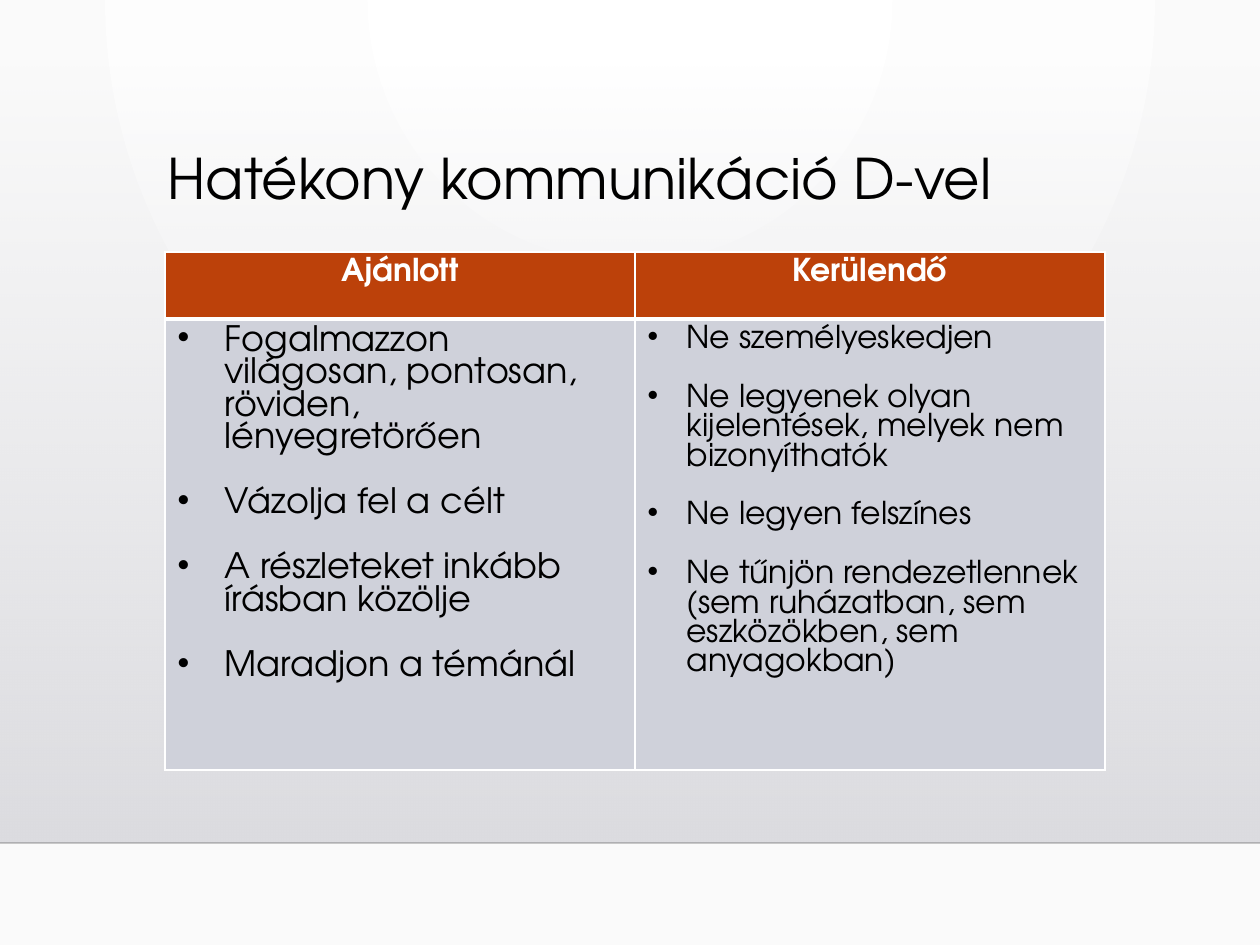
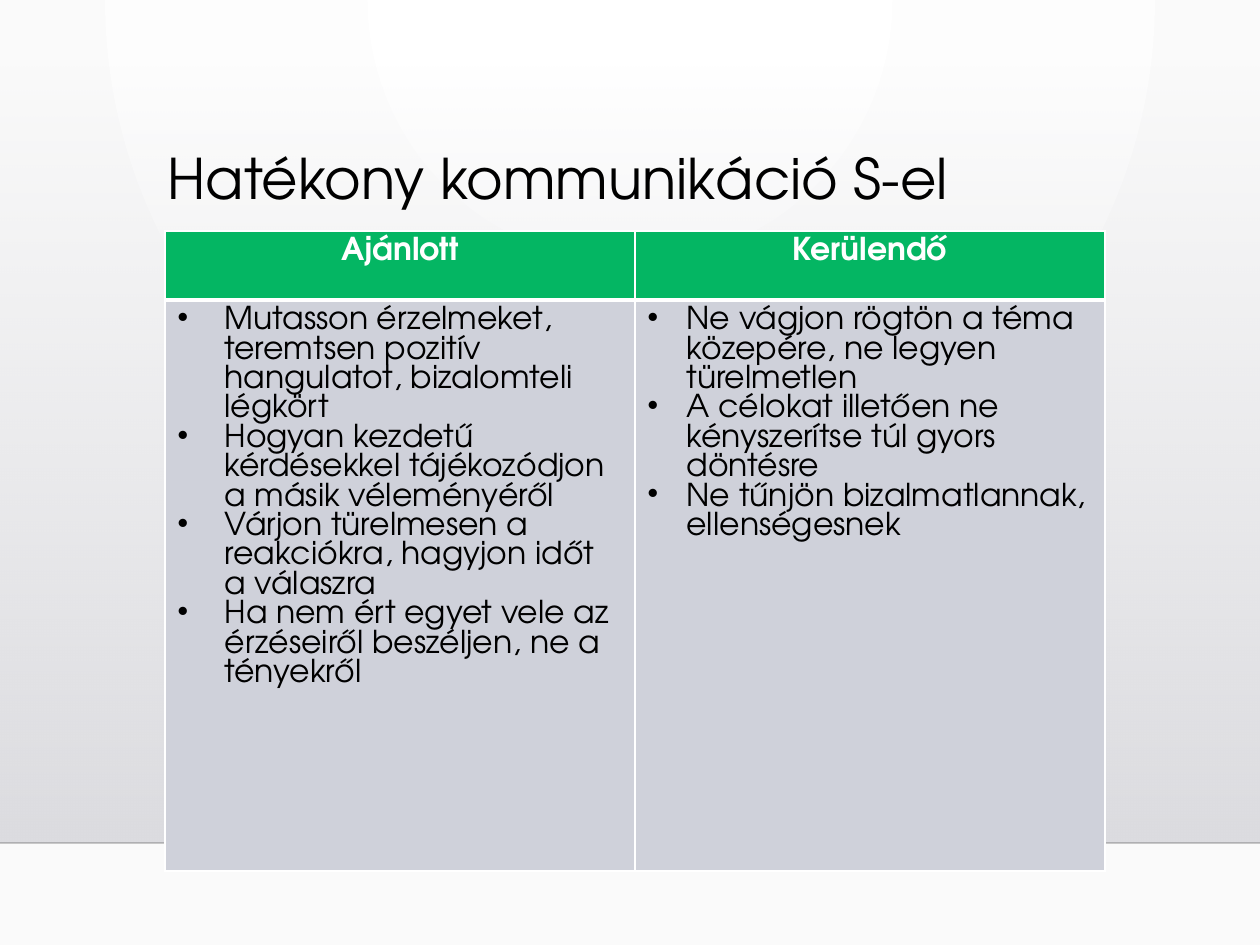
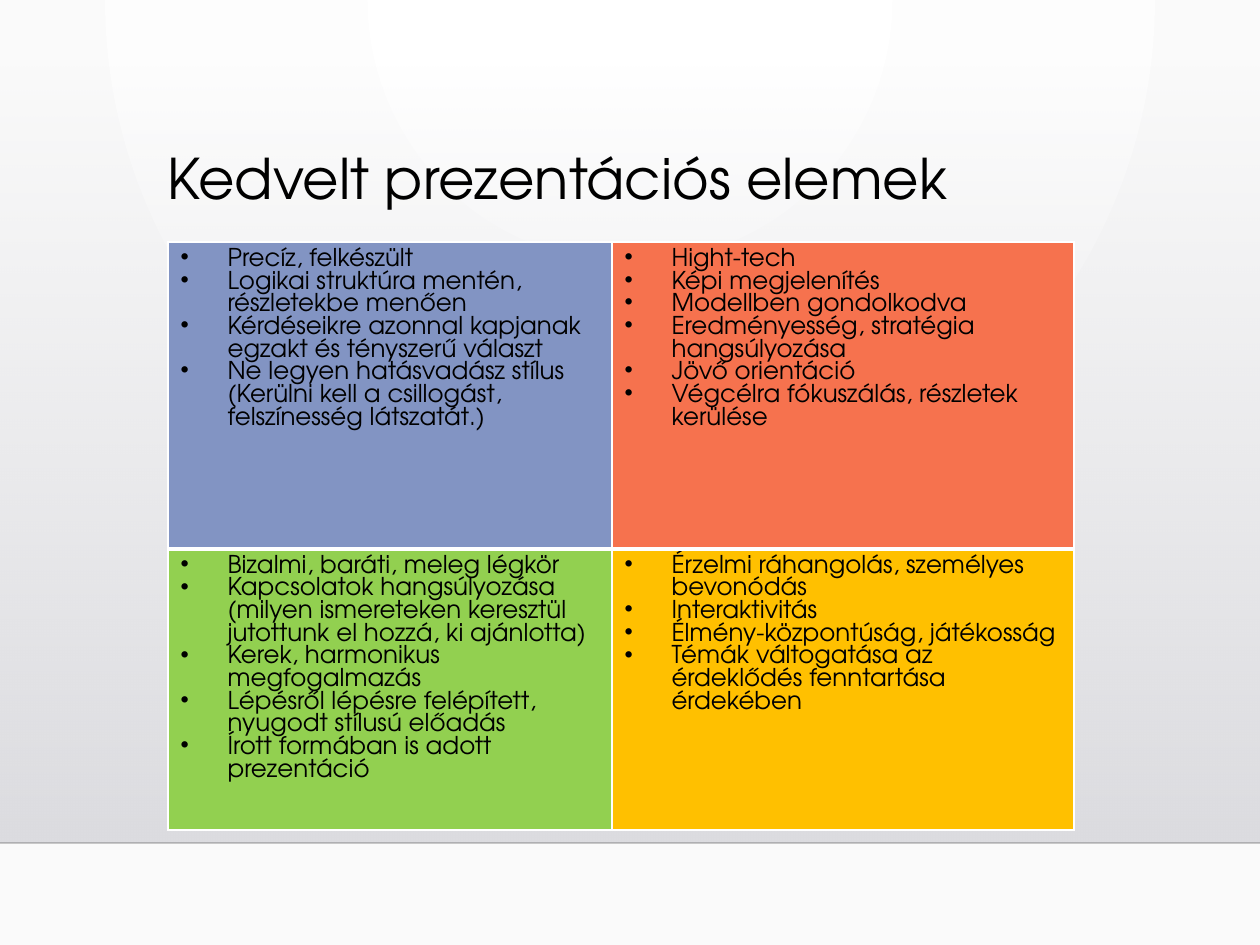
import pptx
import pptx.dml.color
import pptx.enum.shapes
import pptx.enum.text
import pptx.oxml
import pptx.oxml.ns
import pptx.util

PX = 914400 / 126
FONT = "TeX Gyre Adventor"
LINE_HEIGHT = 0.93  # natural line height of the font, in ems
COLOURS = {
    "ink": "000000", "white": "FFFFFF", "paper": "FAFAFA", "rule": "000001",
    "haze_top": "DCDCE0", "haze_bottom": "DEDEE2", "body": "CFD1DA",
    "rust": "BC410A", "emerald": "04B663", "blue": "8294C3",
    "coral": "F6724E", "lime": "92D050", "amber": "FFC000",
}
# size in points, hanging indent in px, blank line between items
STYLES = {
    "head": (18, 0, False),
    "large spaced": (20, 47, True),
    "medium spaced": (18, 39, True),
    "medium wide": (18, 47, False),
    "medium": (18, 39, False),
    "small": (14, 47, False),
}
RECOMMENDED = ("rust", "head", ["Ajánlott"])
AVOID = ("rust", "head", ["Kerülendő"])

SLIDES = [
    {
        "title": "Hatékony kommunikáció D-vel",
        "corner": (165, 252), "columns": (470, 470), "rows": (67, 451),
        "cells": [
            [RECOMMENDED, AVOID],
            [("body", "large spaced", [
                "Fogalmazzon világosan, pontosan, röviden, lényegretörően",
                "Vázolja fel a célt",
                "A részleteket inkább írásban közölje",
                "Maradjon a témánál"]),
             ("body", "medium spaced", [
                 "Ne személyeskedjen",
                 "Ne legyenek olyan kijelentések, melyek nem bizonyíthatók",
                 "Ne legyen felszínes",
                 "Ne tűnjön rendezetlennek (sem ruházatban, sem eszközökben, sem anyagokban)"])],
        ],
    },
    {
        "title": "Hatékony kommunikáció S-el",
        "corner": (165, 231), "columns": (470, 470), "rows": (69, 571),
        "cells": [
            [("emerald", *RECOMMENDED[1:]), ("emerald", *AVOID[1:])],
            [("body", "medium wide", [
                "Mutasson érzelmeket, teremtsen pozitív hangulatot, bizalomteli légkört",
                "Hogyan kezdetű kérdésekkel tájékozódjon a másik véleményéről",
                "Várjon türelmesen a reakciókra, hagyjon időt a válaszra",
                "Ha nem ért egyet vele az érzéseiről beszéljen, ne a tényekről"]),
             ("body", "medium", [
                 "Ne vágjon rögtön a téma közepére, ne legyen türelmetlen",
                 "A célokat illetően ne kényszerítse túl gyors döntésre",
                 "Ne tűnjön bizalmatlannak, ellenségesnek"])],
        ],
    },
    {
        "title": "Kedvelt prezentációs elemek",
        "corner": (168, 242), "columns": (444, 462), "rows": (307, 281),
        "cells": [
            [("blue", "small", [
                "Precíz, felkészült",
                "Logikai struktúra mentén, részletekbe menően",
                "Kérdéseikre azonnal kapjanak egzakt és tényszerű választ",
                "Ne legyen hatásvadász stílus (Kerülni kell a csillogást, felszínesség látszatát.)"]),
             ("coral", "small", [
                 "Hight-tech",
                 "Képi megjelenítés",
                 "Modellben gondolkodva",
                 "Eredményesség, stratégia hangsúlyozása",
                 "Jövő orientáció",
                 "Végcélra fókuszálás, részletek kerülése"])],
            [("lime", "small", [
                "Bizalmi, baráti, meleg légkör",
                "Kapcsolatok hangsúlyozása (milyen ismereteken keresztül jutottunk el hozzá, ki ajánlotta)",
                "Kerek, harmonikus megfogalmazás",
                "Lépésről lépésre felépített, nyugodt stílusú előadás",
                "Írott formában is adott prezentáció"]),
             ("amber", "small", [
                 "Érzelmi ráhangolás, személyes bevonódás",
                 "Interaktivitás",
                 "Élmény-központúság, játékosság",
                 "Témák váltogatása az érdeklődés fenntartása érdekében"])],
        ],
    },
]


def px(length):
    return pptx.util.Emu(round(length * PX))


def xml(tag, attributes="", content=""):
    """Return a DrawingML element."""
    namespaces = pptx.oxml.ns.nsdecls("a")
    return pptx.oxml.parse_xml(f"<a:{tag} {namespaces} {attributes}>{content}</a:{tag}>")


deck = pptx.Presentation()
deck.slide_width, deck.slide_height = px(1260), px(945)
title_only = deck.slide_layouts[5]
slides = [deck.slides.add_slide(title_only) for _ in SLIDES]

# Shared backdrop: drawn once, then moved to the master
master = deck.slide_master
master.background.fill.background()
backdrop = master.element.find(".//" + pptx.oxml.ns.qn("p:bgPr"))
band = slides[0].shapes.add_shape(
    pptx.enum.shapes.MSO_SHAPE.RECTANGLE, 0, px(64), px(1260), px(779))
band.shadow.inherit = False
band.fill.background()
band.line.fill.background()
gradients = [
    (backdrop, "white", 100, "paper",
     '<a:path path="circle"><a:fillToRect l="43000" r="43000" b="100000"/></a:path>'),
    (band.element.spPr, "haze_top", 0, "haze_bottom", '<a:lin ang="5400000" scaled="0"/>'),
]
for properties, start, opacity, end, direction in gradients:
    stops = (f'<a:gs pos="0"><a:srgbClr val="{COLOURS[start]}">'
             f'<a:alpha val="{opacity * 1000}"/></a:srgbClr></a:gs>'
             f'<a:gs pos="100000"><a:srgbClr val="{COLOURS[end]}"/></a:gs>')
    properties.replace(
        properties.find(pptx.oxml.ns.qn("a:noFill")),
        xml("gradFill", 'rotWithShape="1"', f"<a:gsLst>{stops}</a:gsLst>{direction}"))

horizon = slides[0].shapes.add_connector(
    pptx.enum.shapes.MSO_CONNECTOR.STRAIGHT, 0, px(843), px(1260), px(843))
horizon.line.width = pptx.util.Pt(1)
horizon.line.color.rgb = pptx.dml.color.RGBColor.from_string(COLOURS["rule"])
horizon_colour = horizon.element.spPr.find(".//" + pptx.oxml.ns.qn("a:srgbClr"))
horizon_colour.append(xml("alpha", 'val="20000"'))
horizon.element.spPr.append(xml("effectLst"))
for position, part in enumerate([band, horizon], start=2):
    master.shapes.element.insert(position, part.element)

for slide, content in zip(slides, SLIDES):
    title = slide.shapes.title
    title.left, title.top, title.width, title.height = px(155), px(132), px(906), px(145)
    frame = title.text_frame
    frame.text = content["title"]
    frame.word_wrap = True
    frame.auto_size = pptx.enum.text.MSO_AUTO_SIZE.NONE
    frame.vertical_anchor = pptx.enum.text.MSO_ANCHOR.TOP
    frame.margin_top = px(19)
    heading = frame.paragraphs[0]
    heading.alignment = pptx.enum.text.PP_ALIGN.LEFT
    heading.line_spacing = 0.9
    heading_font = heading.runs[0].font
    heading_font.name, heading_font.size = FONT, pptx.util.Pt(32)
    heading_font.color.rgb = pptx.dml.color.RGBColor.from_string(COLOURS["ink"])

    left, top = content["corner"]
    advice = slide.shapes.add_table(
        2, 2, px(left), px(top), px(sum(content["columns"])), px(sum(content["rows"]))).table
    for column, width in zip(advice.columns, content["columns"]):
        column.width = px(width)
    for row, height in zip(advice.rows, content["rows"]):
        row.height = px(height)

    for row_index, row_cells in enumerate(content["cells"]):
        for column_index, (fill, style, items) in enumerate(row_cells):
            cell = advice.cell(row_index, column_index)
            cell.fill.solid()
            cell.fill.fore_color.rgb = pptx.dml.color.RGBColor.from_string(COLOURS[fill])
            cell_properties = cell._tc.get_or_add_tcPr()
            divider = "lnT" if row_index else "lnB"
            for order, side in enumerate(["lnL", "lnR", "lnT", "lnB"]):
                width = pptx.util.Pt(3 if side == divider else 1)
                cell_properties.insert(order, xml(
                    side, f'w="{width}"',
                    f'<a:solidFill><a:srgbClr val="{COLOURS["white"]}"/></a:solidFill>'))

            size, indent, spaced = STYLES[style]
            is_head = style == "head"
            cell.text_frame.text = "\n".join(items)
            for paragraph in cell.text_frame.paragraphs:
                if is_head:
                    paragraph.alignment = pptx.enum.text.PP_ALIGN.CENTER
                else:
                    if spaced and paragraph.text != items[-1]:
                        paragraph.space_after = pptx.util.Pt(size * LINE_HEIGHT)
                    bullet_properties = paragraph._p.get_or_add_pPr()
                    bullet_properties.set("marL", str(px(indent)))
                    bullet_properties.set("indent", str(-px(indent)))
                    bullet_properties.append(xml("buChar", 'char="•"'))
                font = paragraph.runs[0].font
                font.name, font.size, font.bold = FONT, pptx.util.Pt(size), is_head
                font.color.rgb = pptx.dml.color.RGBColor.from_string(
                    COLOURS["white" if is_head else "ink"])

deck.save("out.pptx")
